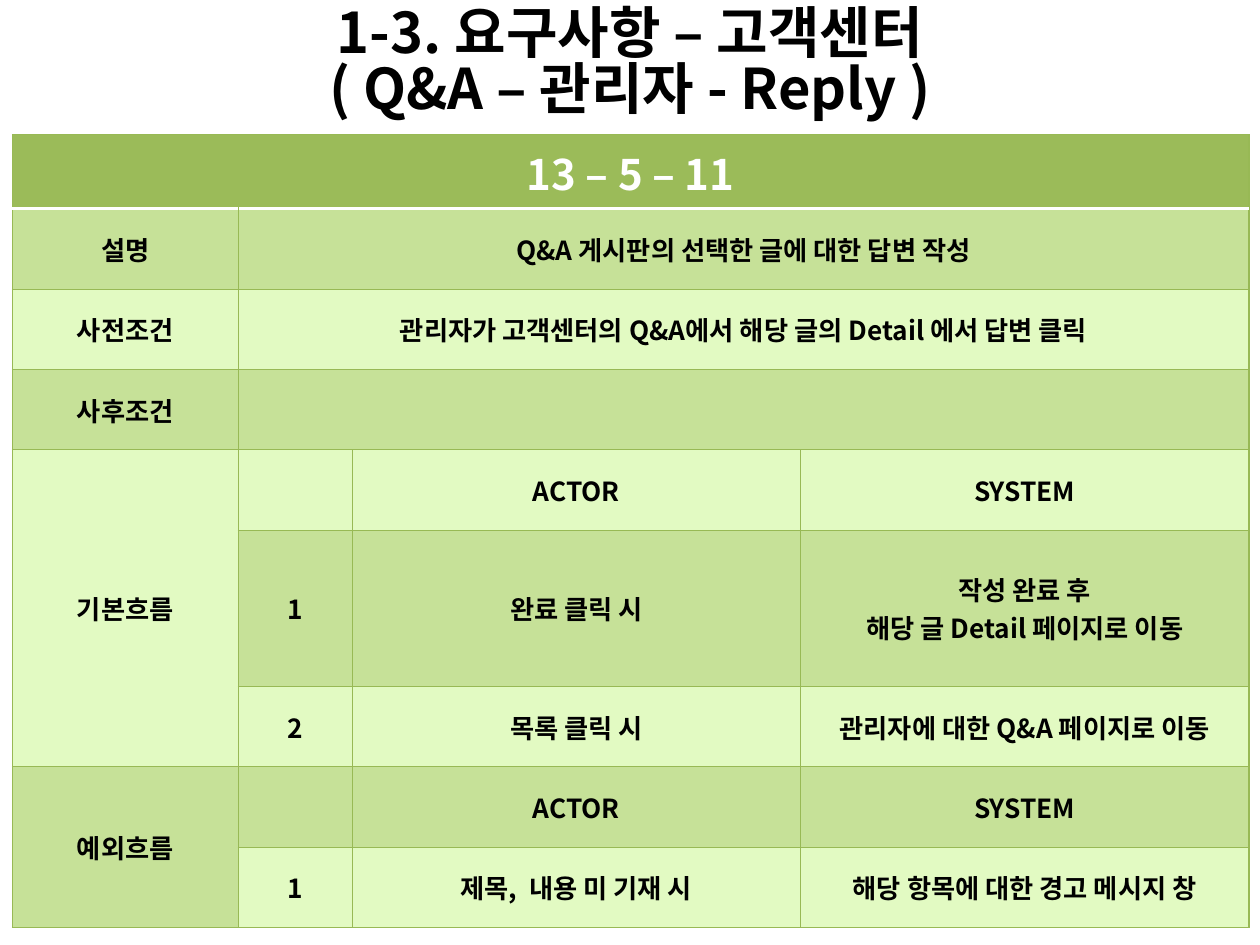
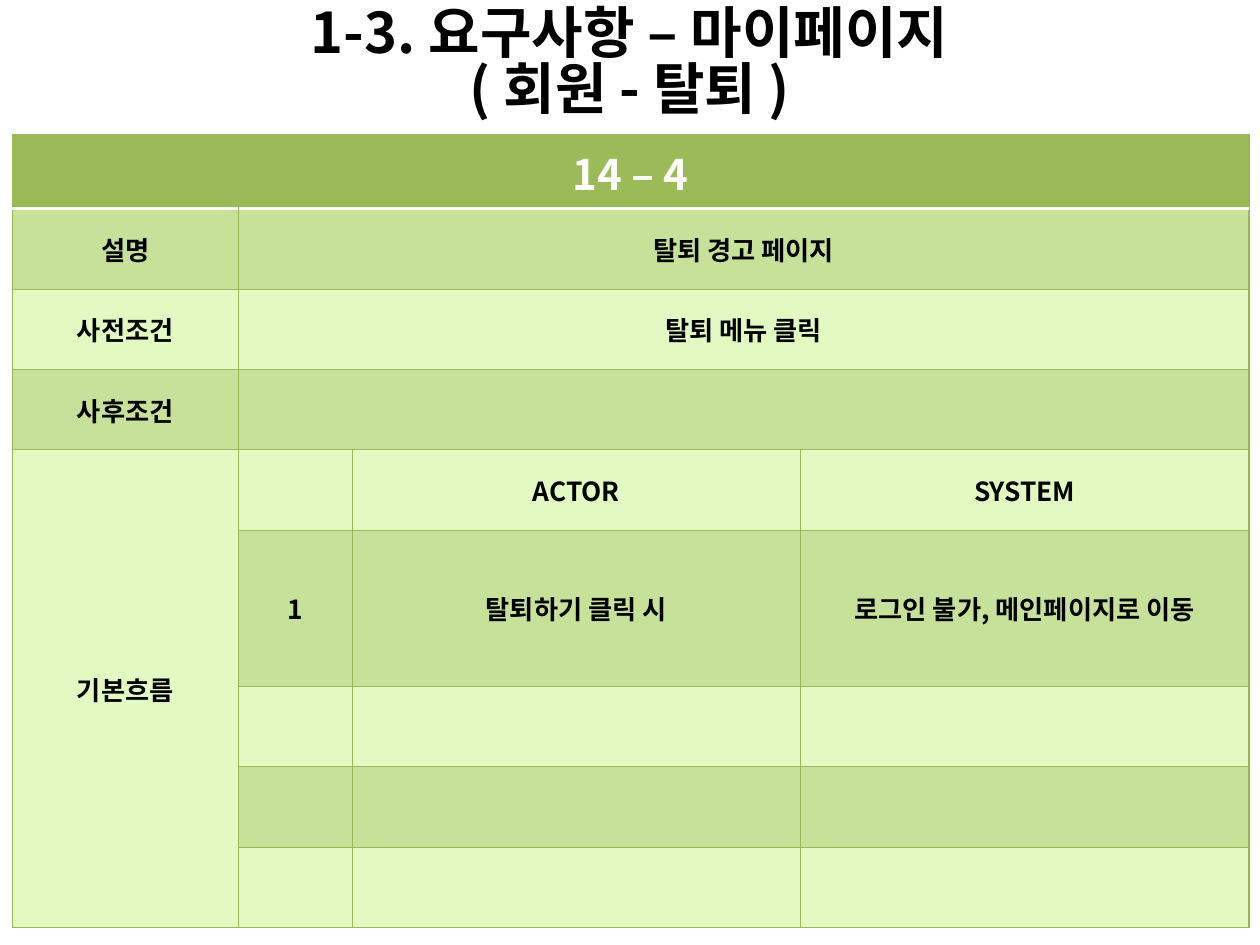
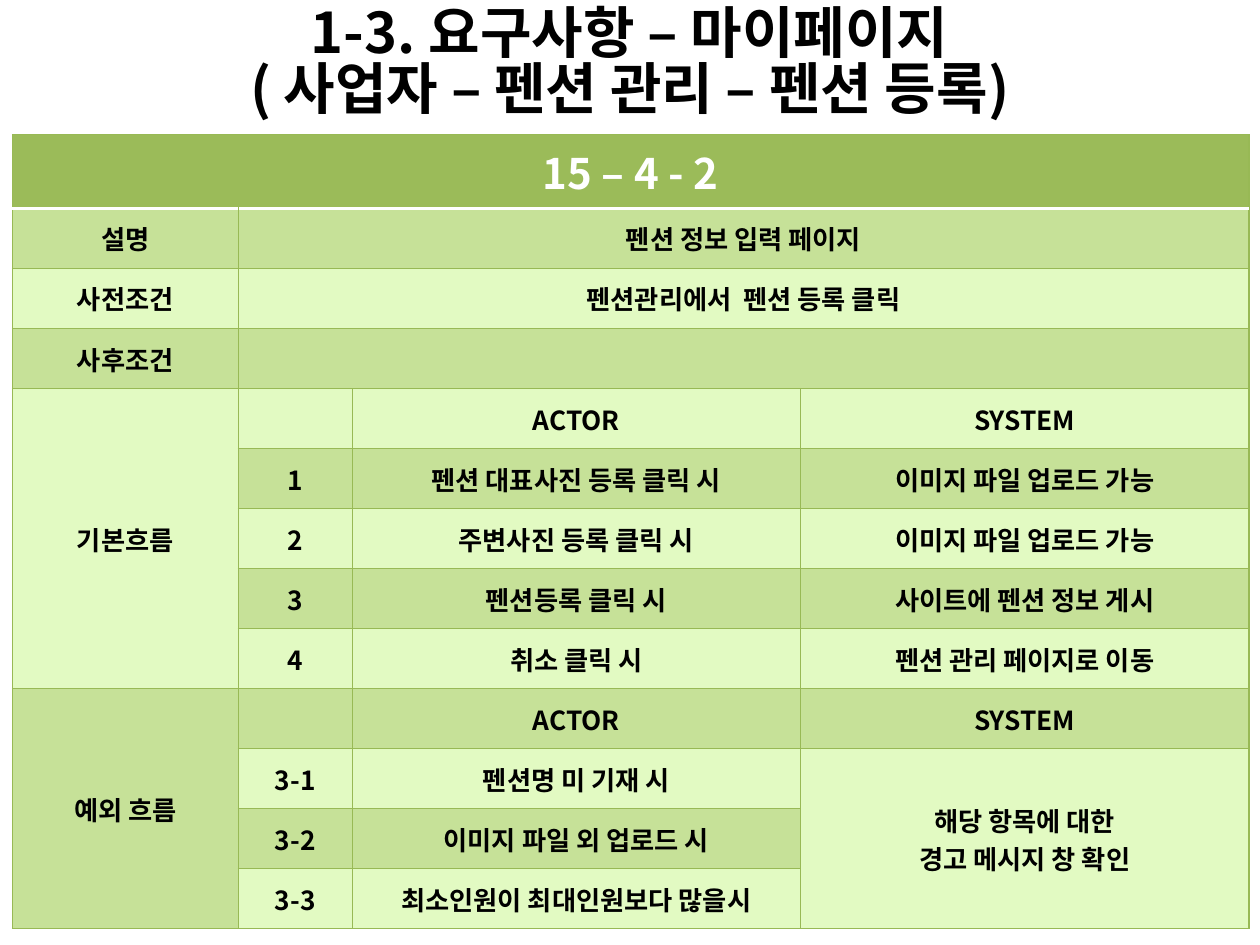
from lxml import etree
from pptx import Presentation
from pptx.dml.color import RGBColor
from pptx.enum import text
from pptx.oxml.ns import qn
from pptx.util import Cm, Pt

FONT = "Noto Sans CJK KR"
BLACK = RGBColor(0x00, 0x00, 0x00)
WHITE = RGBColor(0xFF, 0xFF, 0xFF)
HEADER_GREEN = RGBColor(0x9B, 0xBB, 0x59)
DARK_BAND = RGBColor(0xC6, 0xE1, 0x98)
LIGHT_BAND = RGBColor(0xE2, 0xFA, 0xC2)
BORDER_GREEN = RGBColor(0x98, 0xB9, 0x55)

COLUMN_WIDTHS = [4.55, 2.3, 9.04, 9.04]
SUMMARY_LABELS = ["설명", "사전조건", "사후조건"]
FLOW_HEADINGS = ("", "ACTOR", "SYSTEM")
SAME_AS_ABOVE = None

# Row heights in centimetres, header row first
TALL_STEP_ROWS = [1.49] + [1.62] * 4 + [3.15] + [1.62] * 3
EVEN_ROWS = [1.37] + [1.21] * 12

REQUIREMENTS = [
    {
        "title": ["1-3. 요구사항 – 고객센터", "( Q&A – 관리자 - Reply )"],
        "number": "13 – 5 – 11",
        "summary": ["Q&A 게시판의 선택한 글에 대한 답변 작성",
                    "관리자가 고객센터의 Q&A에서 해당 글의 Detail 에서 답변 클릭", ""],
        "flows": [
            ("기본흐름", [("1", "완료 클릭 시", "작성 완료 후\n해당 글 Detail 페이지로 이동"),
                      ("2", "목록 클릭 시", "관리자에 대한 Q&A 페이지로 이동")]),
            ("예외흐름", [("1", "제목,  내용 미 기재 시", "해당 항목에 대한 경고 메시지 창")]),
        ],
        "heights": TALL_STEP_ROWS,
    },
    {
        "title": ["1-3. 요구사항 – 마이페이지", "( 회원 - 탈퇴 )"],
        "number": "14 – 4",
        "summary": ["탈퇴 경고 페이지", "탈퇴 메뉴 클릭", ""],
        "flows": [
            ("기본흐름", [("1", "탈퇴하기 클릭 시", "로그인 불가, 메인페이지로 이동")]
             + [("", "", "")] * 3),
        ],
        "heights": TALL_STEP_ROWS,
    },
    {
        "title": ["1-3. 요구사항 – 마이페이지", "( 사업자 – 펜션 관리 – 펜션 등록)"],
        "number": "15 – 4 - 2",
        "summary": ["펜션 정보 입력 페이지", "펜션관리에서  펜션 등록 클릭", ""],
        "flows": [
            ("기본흐름", [("1", "펜션 대표사진 등록 클릭 시", "이미지 파일 업로드 가능"),
                      ("2", "주변사진 등록 클릭 시", "이미지 파일 업로드 가능"),
                      ("3", "펜션등록 클릭 시", "사이트에 펜션 정보 게시"),
                      ("4", "취소 클릭 시", "펜션 관리 페이지로 이동")]),
            ("예외 흐름", [("3-1", "펜션명 미 기재 시", "해당 항목에 대한\n경고 메시지 창 확인"),
                       ("3-2", "이미지 파일 외 업로드 시", SAME_AS_ABOVE),
                       ("3-3", "최소인원이 최대인원보다 많을시", SAME_AS_ABOVE)]),
        ],
        "heights": EVEN_ROWS,
    },
]


def add_run(paragraph, content, size, color):
    run = paragraph.add_run()
    run.text = content
    run.font.name = FONT
    run.font.size = Pt(size)
    run.font.bold = True
    run.font.color.rgb = color
    east_asian = etree.SubElement(run.font._element, qn("a:ea"))
    east_asian.set("typeface", FONT)


def set_title(slide, lines):
    title = slide.shapes.title
    title.left, title.top = Cm(1.27), Cm(-0.28)
    title.width, title.height = Cm(22.86), Cm(3.18)
    frame = title.text_frame
    frame.word_wrap = True
    frame.auto_size = text.MSO_AUTO_SIZE.NONE
    frame.vertical_anchor = text.MSO_ANCHOR.MIDDLE
    paragraph = frame.paragraphs[0]
    paragraph.alignment = text.PP_ALIGN.CENTER
    paragraph.line_spacing = 0.83
    for index, line in enumerate(lines):
        if index:
            paragraph.add_line_break()
        add_run(paragraph, line, 32, BLACK)


def set_border(cell, side, color, width):
    line = etree.SubElement(cell._tc.get_or_add_tcPr(), qn("a:" + side), w=str(Pt(width)))
    fill = etree.SubElement(line, qn("a:solidFill"))
    etree.SubElement(fill, qn("a:srgbClr"), val=str(color))


def style_cell(cell, row):
    # Borders come before the fill in the cell properties
    for side in ("lnL", "lnR", "lnT", "lnB"):
        below_header = (row, side) in ((0, "lnB"), (1, "lnT"))
        set_border(cell, side, *((WHITE, 2) if below_header else (BORDER_GREEN, 0.75)))
    cell.fill.solid()
    band = DARK_BAND if row % 2 else LIGHT_BAND
    cell.fill.fore_color.rgb = band if row else HEADER_GREEN
    cell.vertical_anchor = text.MSO_ANCHOR.MIDDLE


def write_cell(cell, content, size=15, color=BLACK):
    if not content:
        return
    frame = cell.text_frame
    for index, line in enumerate(content.split("\n")):
        paragraph = frame.add_paragraph() if index else frame.paragraphs[0]
        paragraph.alignment = text.PP_ALIGN.CENTER
        add_run(paragraph, line, size, color)


def fill_flow(table, first_row, label, steps):
    """Write one flow block and return the row after it."""
    last_row = first_row + len(steps)
    table.cell(first_row, 0).merge(table.cell(last_row, 0))
    write_cell(table.cell(first_row, 0), label)
    merge_start = first_row
    for row, values in enumerate([FLOW_HEADINGS] + steps, first_row):
        for column, value in enumerate(values, 1):
            write_cell(table.cell(row, column), value)
        if values[-1] is not SAME_AS_ABOVE:
            merge_start = row
        elif row == last_row:
            table.cell(merge_start, 3).merge(table.cell(row, 3))
    return last_row + 1


def add_requirement_table(slide, requirement):
    heights = requirement["heights"]
    table = slide.shapes.add_table(
        len(heights), len(COLUMN_WIDTHS), Cm(0.25), Cm(2.72),
        Cm(sum(COLUMN_WIDTHS)), Cm(sum(heights))).table
    table.first_row = table.horz_banding = False
    for column, width in zip(table.columns, COLUMN_WIDTHS):
        column.width = Cm(width)
    for index, height in enumerate(heights):
        table.rows[index].height = Cm(height)
        for cell in table.rows[index].cells:
            style_cell(cell, index)

    # Requirement number across the whole header
    table.cell(0, 0).merge(table.cell(0, 3))
    write_cell(table.cell(0, 0), requirement["number"], 24, WHITE)

    # Description and conditions
    for row, (label, value) in enumerate(zip(SUMMARY_LABELS, requirement["summary"]), 1):
        write_cell(table.cell(row, 0), label)
        table.cell(row, 1).merge(table.cell(row, 3))
        write_cell(table.cell(row, 1), value)

    # Basic and exception flows
    next_row = len(SUMMARY_LABELS) + 1
    for label, steps in requirement["flows"]:
        next_row = fill_flow(table, next_row, label, steps)


def main():
    presentation = Presentation()
    presentation.slide_width, presentation.slide_height = Cm(25.4), Cm(19.05)
    title_only = presentation.slide_layouts[5]
    for requirement in REQUIREMENTS:
        slide = presentation.slides.add_slide(title_only)
        set_title(slide, requirement["title"])
        add_requirement_table(slide, requirement)
    presentation.save("out.pptx")


if __name__ == "__main__":
    main()
